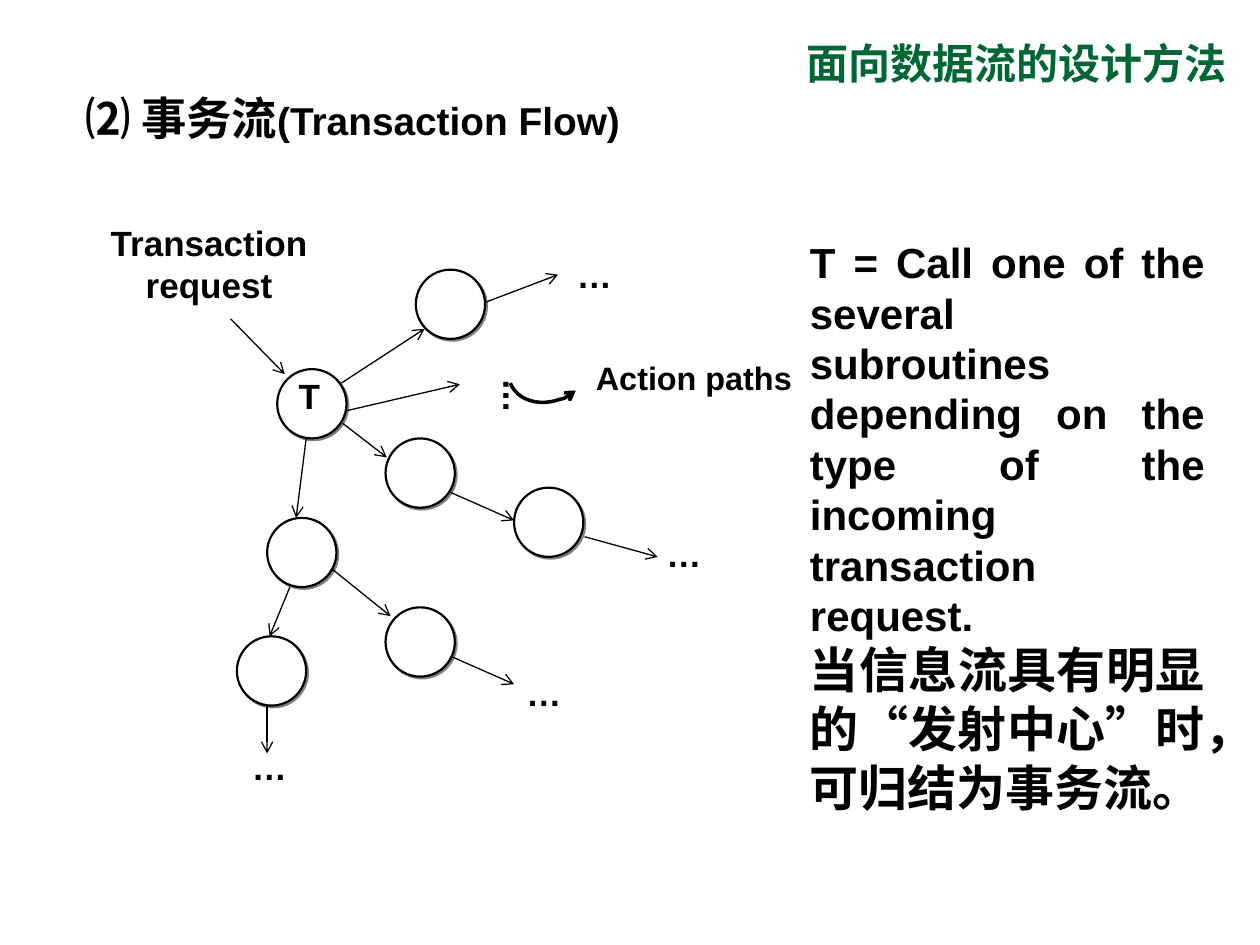
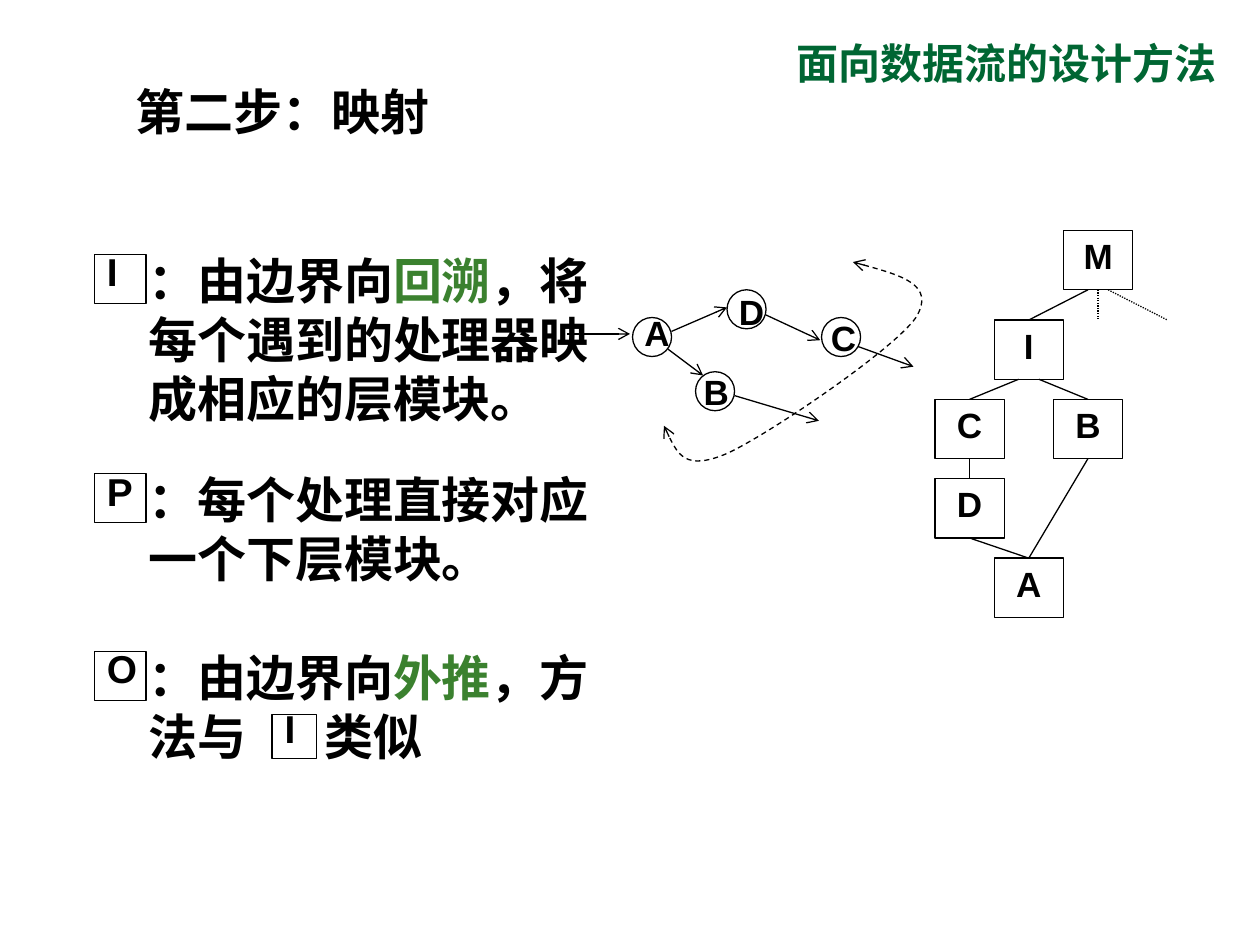
import lxml.etree
import pptx
import pptx.dml.color
import pptx.enum.dml
import pptx.enum.shapes
import pptx.enum.text
import pptx.oxml.ns
import pptx.util

Inches = pptx.util.Inches
qn = pptx.oxml.ns.qn
ALIGN = pptx.enum.text.PP_ALIGN
SHAPE = pptx.enum.shapes.MSO_SHAPE
DASH = pptx.enum.dml.MSO_LINE

BLACK, WHITE, SHADOW = "000000", "FFFFFF", "808080"
TITLE_GREEN, KEYWORD_GREEN = "006633", "3B812F"
DEFAULT_INSETS = (0.1, 0.05, 0.1, 0.05)
NO_INSETS = (0, 0, 0, 0)
LABEL_INSETS = (0.02, 0.01, 0.02, 0.01)


def color(hex_text):
    return pptx.dml.color.RGBColor.from_string(hex_text)


def fill_text(shape, paragraphs, size=20, font="Arial", align=ALIGN.LEFT,
              insets=DEFAULT_INSETS, spacing=None, before=None):
    """Each paragraph is a list of (text, options); options may be size or ink."""
    frame = shape.text_frame
    frame.word_wrap = True
    frame.vertical_anchor = pptx.enum.text.MSO_ANCHOR.TOP
    (frame.margin_left, frame.margin_top,
     frame.margin_right, frame.margin_bottom) = map(Inches, insets)
    for number, spans in enumerate(paragraphs):
        para = frame.add_paragraph() if number else frame.paragraphs[0]
        para.alignment = align
        if spacing:
            para.line_spacing = spacing
        if before:
            para.space_before = pptx.util.Pt(before)
        for text, options in spans:
            span = para.add_run()
            span.text = text
            span.font.name = font
            span.font.bold = True
            span.font.size = pptx.util.Pt(options.get("size", size))
            span.font.color.rgb = color(options.get("ink", BLACK))


def add_text(page, left, top, width, height, paragraphs, **style):
    box = page.shapes.add_textbox(*map(Inches, (left, top, width, height)))
    fill_text(box, paragraphs, **style)
    return box


def style_outline(shape, weight=0.75, fill=None):
    shape.shadow.inherit = False
    if fill:
        shape.fill.solid()
        shape.fill.fore_color.rgb = color(fill)
    else:
        shape.fill.background()
    shape.line.color.rgb = color(BLACK)
    shape.line.width = pptx.util.Pt(weight)


def add_outline(page, kind, left, top, width, height, **style):
    shape = page.shapes.add_shape(kind, *map(Inches, (left, top, width, height)))
    style_outline(shape, **style)
    return shape


def add_arrowheads(line, *ends):
    for end in ends:
        lxml.etree.SubElement(line.line._get_or_add_ln(), qn("a:" + end), type="arrow")


def add_line(page, start, end, arrow=False, dash=None):
    line = page.shapes.add_connector(
        pptx.enum.shapes.MSO_CONNECTOR.STRAIGHT, *map(Inches, (*start, *end)))
    line.line.color.rgb = color(BLACK)
    line.line.width = pptx.util.Pt(0.75)
    if dash:
        line.line.dash_style = dash
    if arrow:
        add_arrowheads(line, "tailEnd")
    lxml.etree.SubElement(line._element.spPr, qn("a:effectLst"))
    return line


def add_arrows(page, left, top, arrows):
    for x1, y1, x2, y2 in arrows:
        add_line(page, (left + x1, top + y1), (left + x2, top + y2), arrow=True)


def add_curve(page, left, top, points, weight):
    """Draw cubic Bezier segments: a start, then three points per segment."""
    places = [(Inches(left + x), Inches(top + y)) for x, y in points]
    builder = page.shapes.build_freeform(*places[0], scale=1.0)
    builder.add_line_segments(places[1:], close=False)
    curve = builder.convert_to_shape()
    style_outline(curve, weight)
    outline = next(curve._element.spPr.iter(qn("a:path")))
    steps = outline.findall(qn("a:lnTo"))
    for first in range(0, len(steps), 3):
        segment = lxml.etree.SubElement(outline, qn("a:cubicBezTo"))
        for step in steps[first:first + 3]:
            segment.append(step[0])
            outline.remove(step)
    return curve


def add_headings(page, title_left, left, top, width, spans):
    add_text(page, title_left, 0.25, 4.25, 0.5,
             [[("面向数据流的设计方法", {"ink": TITLE_GREEN})]],
             size=24, font="Times New Roman", align=ALIGN.RIGHT)
    add_text(page, left, top, width, 0.58, [spans])


def add_shadow(shape):
    effects = shape._element.spPr.find(qn("a:effectLst"))
    shadow = lxml.etree.SubElement(effects, qn("a:outerShdw"), dist="17961",
                                   dir="2700000", algn="ctr", rotWithShape="0")
    lxml.etree.SubElement(shadow, qn("a:srgbClr"), val=SHADOW)


def transaction_graph(page, left, top):
    nodes = [(1.4, 1.33), (2.5, 0.54), (2.26, 1.88), (3.28, 2.27),
             (1.32, 2.51), (2.26, 3.22), (1.08, 3.45)]
    for x, y in nodes:
        add_shadow(add_outline(page, SHAPE.OVAL, left + x, top + y, 0.55, 0.55,
                               weight=1.25, fill=WHITE))
    add_arrows(page, left, top, [
        (1.03, 0.93, 1.46, 1.37), (1.91, 1.44, 2.57, 1.01),
        (3.05, 0.8, 3.63, 0.58), (1.95, 1.66, 2.85, 1.45),
        (1.92, 1.76, 2.27, 2.03), (2.78, 2.31, 3.28, 2.53),
        (3.84, 2.66, 4.42, 2.82), (1.63, 1.88, 1.55, 2.51),
        (1.5, 3.06, 1.34, 3.45), (1.84, 2.92, 2.3, 3.29),
        (2.78, 3.61, 3.28, 3.83), (1.32, 4, 1.32, 4.38)])

    dots = [[("…", {})]]
    for x, y, indent, spacing in [(1.03, 4.04, 0.17, 1.8), (3.68, 0.07, 0.1, 2.0),
                                  (4.39, 2.35, 0.1, 1.8), (3.28, 3.39, 0.1, 2.0)]:
        add_text(page, left + x, top + y, 1, 0.86, dots,
                 insets=(indent, 0.01, 0, 0.01), spacing=spacing)
    column = add_text(page, left + 2.89, top + 1.23, 0.66, 0.65, dots,
                      insets=(0.01, 0.17, 0.01, 0.02), spacing=1.2)
    column.text_frame._txBody.bodyPr.set("vert", "eaVert")

    add_text(page, left + 1.28, top + 1.29, 0.75, 0.65, [[("T", {})]],
             align=ALIGN.CENTER, spacing=1.1)
    add_text(page, left + 0.03, top + 0.15, 1.66, 0.85,
             [[("Transaction", {})], [("request", {})]],
             align=ALIGN.CENTER, insets=LABEL_INSETS)
    add_text(page, left + 3.91, top + 1.23, 1.66, 0.65, [[("Action paths", {})]],
             size=18.5, insets=LABEL_INSETS)
    sweep = add_curve(page, left, top, [
        (3.25, 1.44), (3.3, 1.57), (3.47, 1.63), (3.64, 1.57),
        (3.69, 1.56), (3.74, 1.53), (3.77, 1.5)], weight=2)
    add_arrowheads(sweep, "tailEnd")


def transaction_slide(page):
    add_headings(page, 5.58, 0.58, 0.67, 4.67,
                 [("⑵ 事务流", {"size": 25.9}), ("(Transaction Flow)", {"size": 22.2})])
    transaction_graph(page, 0.8, 1.6)
    add_text(page, 6.33, 1.83, 3.33, 4.7, [
        [("T = Call one of the several subroutines depending on the type of "
          "the incoming transaction request.", {"size": 24})],
        [("当信息流具有明显的“发射中心”时，可归结为事务流。", {"size": 28})]],
        align=ALIGN.JUSTIFY)


def flow_graph(page, left, top):
    nodes = {"A": (0.52, 0.52, 0.44, 0.44), "D": (1.27, 0.3, 1.19, 0.27),
             "C": (2.02, 0.52, 1.92, 0.48), "B": (1.02, 0.95, 0.91, 0.91)}
    for name, (x, y, label_x, label_y) in nodes.items():
        add_text(page, left + label_x, top + label_y, 0.55, 0.43, [[(name, {})]],
                 align=ALIGN.CENTER, insets=NO_INSETS, spacing=1.1)
        add_outline(page, SHAPE.OVAL, left + x, top + y, 0.31, 0.31)
    add_arrows(page, left, top, [
        (0, 0.65, 0.5, 0.65), (0.83, 0.63, 1.27, 0.44), (0.8, 0.77, 1.08, 0.98),
        (1.58, 0.5, 2.01, 0.7), (1.33, 1.14, 2, 1.34), (2.31, 0.75, 2.75, 0.91)])
    boundary = add_curve(page, left, top, [
        (2.27, 0.08), (2.6, 0.17), (2.93, 0.26), (2.77, 0.52), (2.6, 0.77),
        (1.6, 1.45), (1.27, 1.6), (0.94, 1.74), (0.85, 1.56), (0.77, 1.38)],
        weight=0.75)
    boundary.line.dash_style = DASH.DASH
    add_arrowheads(boundary, "headEnd", "tailEnd")


def module_tree(page, left, top):
    width, height = 0.55, 0.47
    places = {"M": (1.02, 0), "I": (0.47, 0.71), "C": (0, 1.34),
              "B": (0.94, 1.34), "D": (0, 1.97), "A": (0.47, 2.6)}
    modules = {}
    for name, (x, y) in places.items():
        modules[name] = add_outline(page, SHAPE.RECTANGLE, left + x, top + y, width, height)
        fill_text(modules[name], [[(name, {})]], align=ALIGN.CENTER,
                  insets=NO_INSETS, spacing=1.1)

    def bottom(name, shift=0):
        x, y = places[name]
        return left + x + width / 2 + shift, top + y + height

    def head(name):
        x, y = places[name]
        return left + x + width / 2, top + y

    for parent, child, shift in [("M", "I", -0.08), ("I", "C", -0.08), ("I", "B", 0.08),
                                 ("C", "D", 0), ("D", "A", 0), ("B", "A", 0)]:
        line = add_line(page, bottom(parent, shift), head(child))
        if not shift:
            line.begin_connect(modules[parent], 2)
        line.end_connect(modules[child], 0)

    x, y = bottom("M")
    stub = add_line(page, (x, y), (x, y + 0.24), dash=DASH.ROUND_DOT)
    stub.begin_connect(modules["M"], 2)
    add_line(page, (x + 0.08, y), (x + 0.55, y + 0.24), dash=DASH.ROUND_DOT)


def add_key(page, letter, left, top, width=0.41, height=0.39, spacing=0.7):
    key = add_outline(page, SHAPE.RECTANGLE, left, top, width, height)
    fill_text(key, [[(letter, {})]], size=22.2, spacing=spacing)


def mapping_rule(page, left, top, height, letter, spans):
    box = add_text(page, left + 0.33, top, 3.83, height, [spans], size=28, before=17.5)
    add_key(page, letter, left, top + 0.08)
    return box


def add_tab_stop(box, position):
    properties = box.text_frame.paragraphs[0]._p.get_or_add_pPr()
    stops = lxml.etree.SubElement(properties, qn("a:tabLst"))
    lxml.etree.SubElement(stops, qn("a:tab"), pos=str(Inches(position)), algn="l")


def mapping_slide(page):
    add_headings(page, 5.5, 0.98, 0.6, 2.75, [("第二步：映射", {"size": 28})])
    flow_graph(page, 4.5, 2)
    module_tree(page, 7.42, 1.83)
    keyword = {"ink": KEYWORD_GREEN}
    mapping_rule(page, 0.75, 1.94, 1.5, "I", [
        ("：由边界向", {}), ("回溯", keyword), ("，将每个遇到的处理器映成相应的层模块。", {})])
    mapping_rule(page, 0.75, 3.68, 1.04, "P", [("：每个处理直接对应一个下层模块。", {})])
    outward = mapping_rule(page, 0.75, 5.09, 1.04, "O", [
        ("：由边界向", {}), ("外推", keyword), ("，方法与\t类似", {})])
    add_tab_stop(outward, 1.4)
    add_key(page, "I", 2.16, 5.67, 0.35, 0.35, spacing=0.6)


def main():
    deck = pptx.Presentation()
    deck.slide_width, deck.slide_height = Inches(10), Inches(7.5)
    for build in (transaction_slide, mapping_slide):
        build(deck.slides.add_slide(deck.slide_layouts[6]))
    deck.save("out.pptx")


if __name__ == "__main__":
    main()
